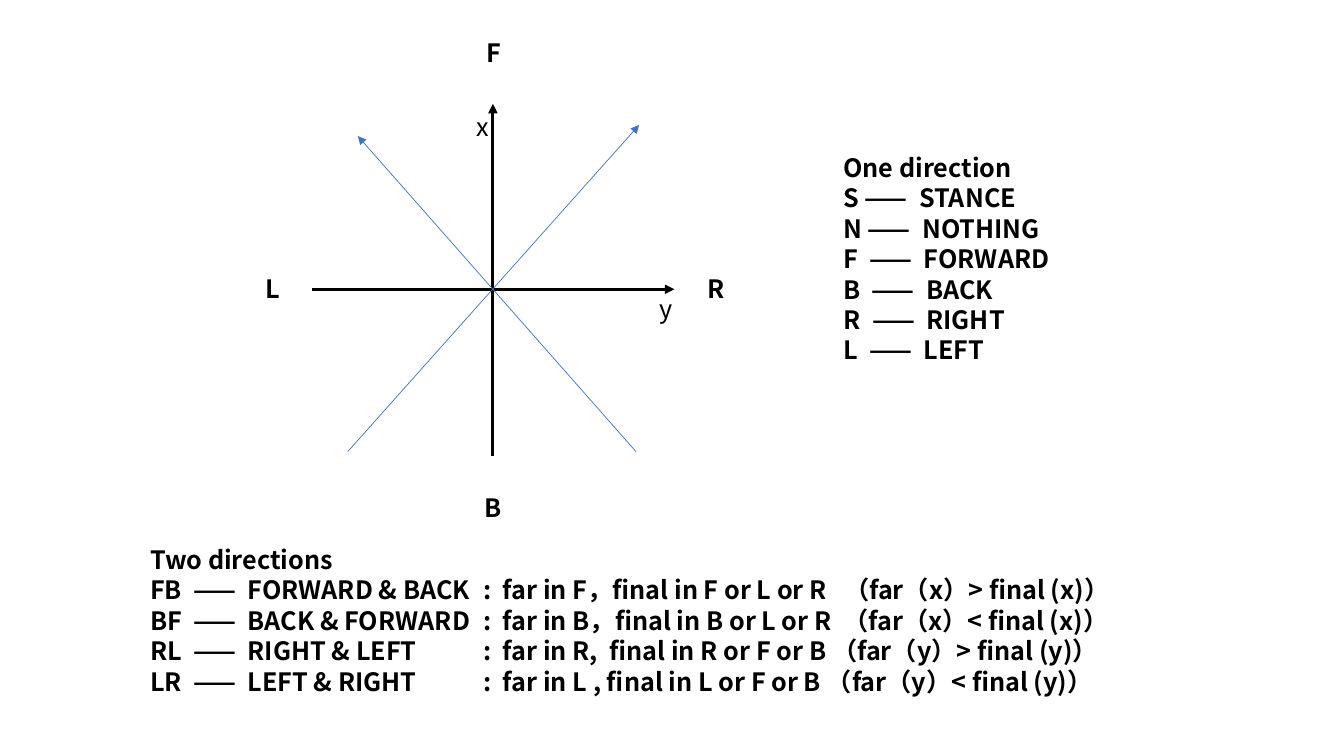
"""Build the slide of stance directions: a compass of arrows with two keys."""
from lxml import etree
from pptx import Presentation, util as u
from pptx.dml.color import RGBColor
from pptx.enum import shapes, text
from pptx.oxml.ns import qn

THEME = {
    "font": "Noto Sans CJK SC",
    "size": u.Pt(18),
    "pitch": u.Pt(21.7),
    "ink": RGBColor.from_string("000000"),
    "blue": RGBColor.from_string("4472C4"),
    "axis": u.Pt(2.25),
    "diagonal": u.Pt(0.5),
}
SLIDE = (960, 540)
COLON_TAB = 238

ARROWS = [
    ((223.2, 206.6), (481.7, 206.6), "ink", "axis"),
    ((352.1, 325.4), (352.1, 74.2), "ink", "axis"),
    ((248.4, 322.6), (456.5, 89.3), "blue", "diagonal"),
    ((454.3, 322.6), (255.6, 97.2), "blue", "diagonal"),
]
LABELS = [
    ("F", 340.6, 23, 22.3, True),
    ("B", 339.1, 347.8, 22.3, True),
    ("R", 498.2, 191.5, 22.3, True),
    ("L", 182.2, 191.5, 22.3, True),
    ("x", 333.4, 75.6, 16.6, False),
    ("y", 463.7, 205.9, 16.6, False),
]
ONE_DIRECTION = [
    "One direction",
    "S ——  STANCE",
    "N ——  NOTHING",
    "F  ——  FORWARD",
    "B  ——  BACK",
    "R  ——  RIGHT",
    "L  ——  LEFT",
]
TWO_DIRECTIONS = [
    "Two directions",
    "FB  ——  FORWARD & BACK\t:  far in F，final in F or L or R   （far（x）> final (x)）",
    "BF  ——  BACK & FORWARD\t:  far in B，final in B or L or R  （far（x）< final (x)）",
    "RL  ——  RIGHT & LEFT\t:  far in R,  final in R or F or B （far（y）> final (y)）",
    "LR  ——  LEFT & RIGHT\t:  far in L , final in L or F or B （far（y）< final (y)）",
]


def apply(target, formats):
    for name, value in formats.items():
        setattr(target, name, value)


def add_arrow(page, start, end, colour, weight):
    ends = [u.Pt(value) for value in (*start, *end)]
    arrow = page.shapes.add_connector(shapes.MSO_CONNECTOR.STRAIGHT, *ends)
    arrow.line.color.rgb = THEME[colour]
    arrow.line.width = THEME[weight]
    etree.SubElement(arrow.line._get_or_add_ln(), qn("a:tailEnd"), type="triangle")
    etree.SubElement(arrow._element.spPr, qn("a:effectLst"))


def add_text(page, lines, left, top, width, bold=True):
    height = u.Pt(7.2) + len(lines) * THEME["pitch"]
    box = page.shapes.add_textbox(u.Pt(left), u.Pt(top), u.Pt(width), height)
    frame = box.text_frame
    apply(frame, {"word_wrap": True, "auto_size": text.MSO_AUTO_SIZE.SHAPE_TO_FIT_TEXT})
    for index, line in enumerate(lines):
        para = frame.add_paragraph() if index else frame.paragraphs[0]
        para.line_spacing = THEME["pitch"]
        if "\t" in line:
            tabs = etree.SubElement(para._p.get_or_add_pPr(), qn("a:tabLst"))
            etree.SubElement(tabs, qn("a:tab"), pos=str(u.Pt(COLON_TAB)), algn="l")
        span = para.add_run()
        span.text = line
        apply(span.font, {"name": THEME["font"], "size": THEME["size"], "bold": bold})
        span.font.color.rgb = THEME["ink"]
        fonts = span._r.get_or_add_rPr()
        etree.SubElement(fonts, qn("a:ea"), typeface=THEME["font"])


def main():
    deck = Presentation()
    deck.slide_width, deck.slide_height = map(u.Pt, SLIDE)
    page = deck.slides.add_slide(deck.slide_layouts[6])
    for arrow in ARROWS:
        add_arrow(page, *arrow)
    for letter, left, top, width, bold in LABELS:
        add_text(page, [letter], left, top, width, bold)
    add_text(page, ONE_DIRECTION, 595.4, 105.1, 290.2)
    add_text(page, TWO_DIRECTIONS, 100.1, 385.2, 786.2)
    deck.save("out.pptx")


if __name__ == "__main__":
    main()
